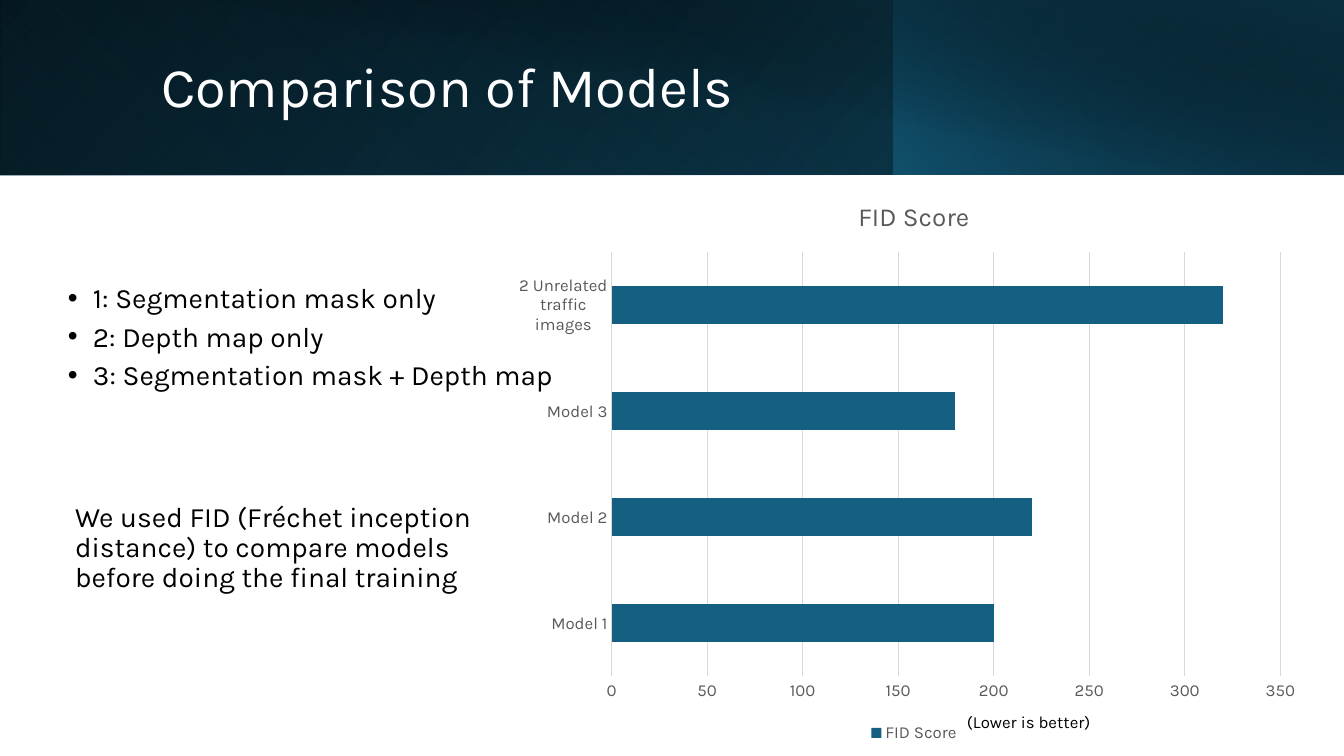
import pptx
import pptx.chart.data
import pptx.dml.color
import pptx.enum.chart
import pptx.enum.shapes
import pptx.enum.text
import pptx.util
from lxml import etree
from pptx.oxml.ns import qn

PX = 914400 / 100.8
FONT = "Karla"
COLORS = {
    "white": "FFFFFF",
    "black": "000000",
    "blue": "156082",
    "deep_blue": "104862",
    "navy": "0B3041",
    "label": "595959",
    "grid": "D9D9D9",
}


def px(length):
    return pptx.util.Emu(round(length * PX))


def rgb(name):
    return pptx.dml.color.RGBColor.from_string(COLORS[name])


def set_font(font, size, color):
    font.name = FONT
    font.size = pptx.util.Pt(size)
    font.bold = False
    font.color.rgb = rgb(color)


def add_gradient_band(slide, box, stops, angle, flip=True, rotation=0):
    shape = slide.shapes.add_shape(
        pptx.enum.shapes.MSO_SHAPE.RECTANGLE, *map(px, box))
    shape.shadow.inherit = False
    shape.line.fill.background()
    shape.rotation = rotation
    if flip:
        shape.element.spPr.find(qn("a:xfrm")).set("flipH", "1")
    shape.fill.gradient()
    shape.fill.gradient_angle = 360 - angle
    for stop, (position, color, _) in zip(shape.fill.gradient_stops, stops):
        stop.position = position / 100
        stop.color.rgb = rgb(color)
    gradient = shape.element.spPr.find(qn("a:gradFill"))
    for node, (_, _, opacity) in zip(gradient.iter(qn("a:srgbClr")), stops):
        if opacity < 100:
            etree.SubElement(node, qn("a:alpha")).set("val", str(opacity * 1000))


def add_text(slide, box, lines, size, color="black", middle=False,
             inset=10, margin=0, indent=0, space_after=0, bullet=None):
    frame = slide.shapes.add_textbox(*map(px, box)).text_frame
    frame.word_wrap = True
    frame.margin_left = px(inset)
    frame.margin_right = px(10)
    frame.margin_top = frame.margin_bottom = px(10 if inset == 0 else 5)
    if middle:
        frame.vertical_anchor = pptx.enum.text.MSO_ANCHOR.MIDDLE
    frame.text = "\n".join(lines)
    for paragraph in frame.paragraphs:
        properties = paragraph._p.get_or_add_pPr()
        properties.set("marL", str(px(margin)))
        properties.set("indent", str(px(indent)))
        if bullet:
            etree.SubElement(properties, qn("a:buFont")).set("typeface", "Arial")
            etree.SubElement(properties, qn("a:buChar")).set("char", bullet)
        paragraph.line_spacing = 0.9
        paragraph.space_after = pptx.util.Pt(space_after)
        set_font(paragraph.font, size, color)


def style_axis(axis):
    axis.major_tick_mark = pptx.enum.chart.XL_TICK_MARK.NONE
    axis.minor_tick_mark = pptx.enum.chart.XL_TICK_MARK.NONE
    set_font(axis.tick_labels.font, 12, "label")


def style_line(line):
    line.color.rgb = rgb("grid")
    line.width = pptx.util.Pt(0.75)


def add_score_chart(slide, box, scores):
    data = pptx.chart.data.CategoryChartData()
    data.categories = list(scores)
    data.add_series("FID Score", list(scores.values()))
    chart = slide.shapes.add_chart(
        pptx.enum.chart.XL_CHART_TYPE.BAR_CLUSTERED, *map(px, box), data).chart
    set_font(chart.font, 10, "black")

    chart.has_title = True
    title = chart.chart_title
    title.include_in_layout = False
    title.text_frame.text = "FID Score"
    set_font(title.text_frame.paragraphs[0].font, 18.6, "label")

    chart.has_legend = True
    chart.legend.position = pptx.enum.chart.XL_LEGEND_POSITION.BOTTOM
    chart.legend.include_in_layout = False
    set_font(chart.legend.font, 12, "label")

    style_axis(chart.category_axis)
    style_line(chart.category_axis.format.line)
    scale = chart.value_axis
    style_axis(scale)
    scale.minimum_scale = 0
    scale.maximum_scale = 350
    scale.major_unit = 50
    scale.format.line.fill.background()
    scale.has_major_gridlines = True
    style_line(scale.major_gridlines.format.line)

    plot = chart.plots[0]
    plot.gap_width = 182
    plot.vary_by_categories = False
    fill = plot.series[0].format.fill
    fill.solid()
    fill.fore_color.rgb = rgb("blue")


def main():
    presentation = pptx.Presentation()
    presentation.slide_width = px(1344)
    presentation.slide_height = px(756)
    slide = presentation.slides.add_slide(presentation.slide_layouts[6])

    add_gradient_band(slide, (0, 0, 1344, 175),
                      [(0, "black", 100), (100, "deep_blue", 100)], 140)
    add_gradient_band(slide, (0, 0, 895, 175),
                      [(20, "blue", 0), (100, "navy", 55)], 230, rotation=180)
    add_gradient_band(slide, (894, 0, 450, 175),
                      [(0, "blue", 66), (100, "black", 30)], 220)
    add_gradient_band(slide, (50, 0, 1294, 176),
                      [(50, "black", 0), (99, "navy", 52)], 280, flip=False)

    add_text(slide, (151, 32, 1091, 114), ["Comparison of Models"], 40,
             color="white", middle=True)
    add_text(slide, (50, 135, 1550, 406),
             ["1: Segmentation mask only", "2: Depth map only",
              "3: Segmentation mask + Depth map"],
             20, middle=True, margin=33, indent=-25, space_after=6, bullet="•")
    add_text(slide, (69, 493, 458, 365),
             ["We used FID (Fréchet inception distance) to compare models "
              "before doing the final training"], 20, inset=0, margin=6)
    add_score_chart(slide, (517, 178, 794, 569), {
        "Model 1": 200,
        "Model 2": 220,
        "Model 3": 180,
        "2 Unrelated traffic images": 320,
    })
    add_text(slide, (961, 705, 458, 365), ["(Lower is better)"], 12,
             inset=0, margin=6)

    presentation.save("out.pptx")


if __name__ == "__main__":
    main()
